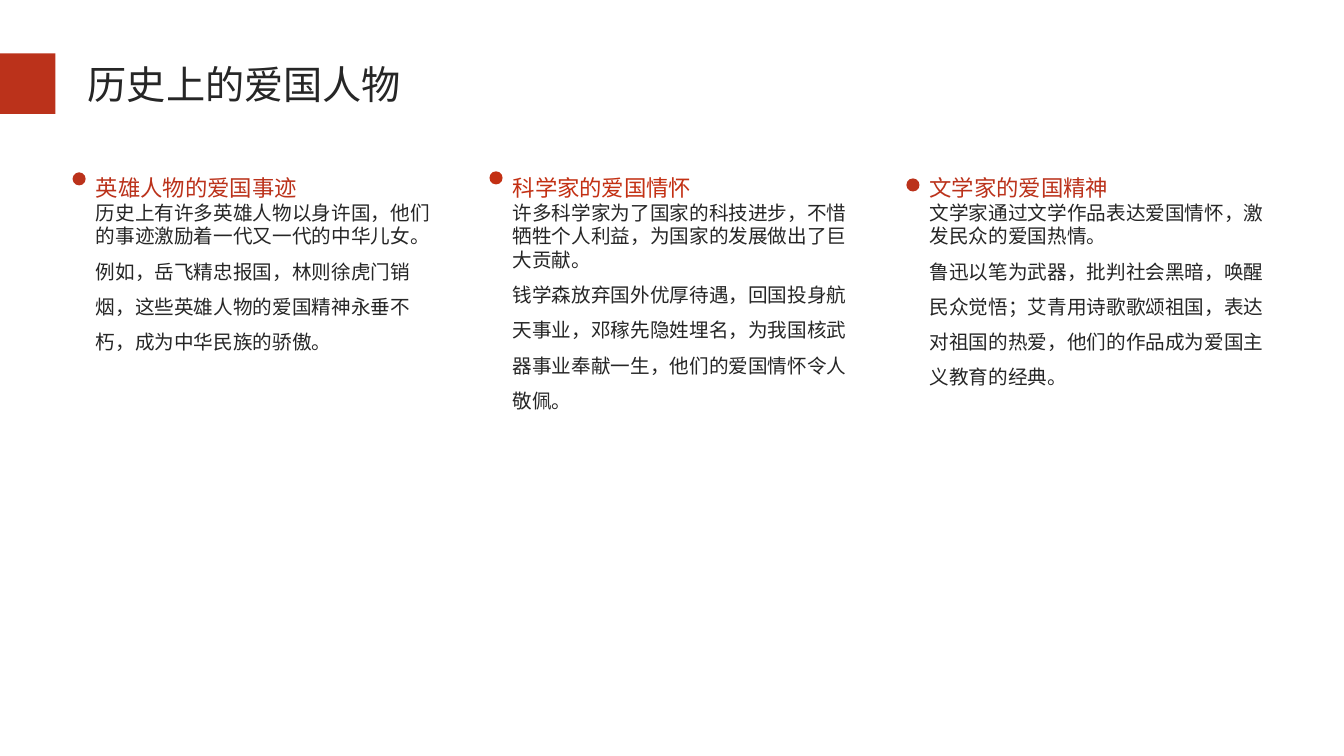
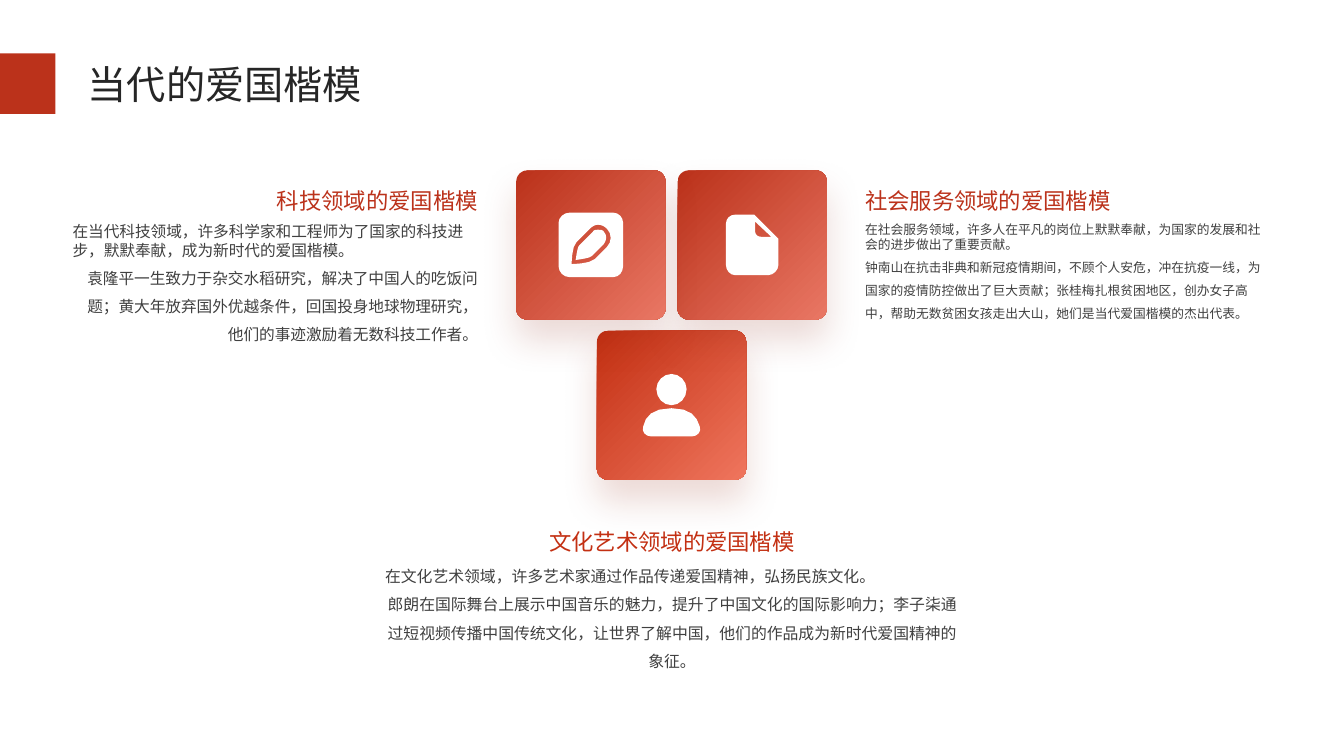
from dataclasses import dataclass

import lxml.etree
import pptx
import pptx.dml.color
import pptx.enum.shapes
import pptx.enum.text
import pptx.oxml.ns
import pptx.util

Inches = pptx.util.Inches
Align = pptx.enum.text.PP_ALIGN
Anchor = pptx.enum.text.MSO_ANCHOR
Preset = pptx.enum.shapes.MSO_SHAPE
qn = pptx.oxml.ns.qn

FONT = "Noto Sans CJK SC"
COLORS = {
    "red": "BB321B",
    "red_end": "E97764",
    "red_shadow": "8C2514",
    "vivid": "C33013",
    "vivid_end": "EF755D",
    "vivid_shadow": "92240E",
    "ink": "262626",
    "gray": "404040",
    "white": "FFFFFF",
}

# Icon outlines in inches from the tile corner: a start point,
# then lines (x, y) and curves (x1, y1, x2, y2, x, y)
PEN_ICON = [
    [(0.81, 0.59), (0.84, 0.59, 0.86, 0.59, 0.87, 0.61),
     (0.9, 0.64, 0.9, 0.69, 0.87, 0.73), (0.75, 0.85),
     (0.73, 0.87, 0.66, 0.88, 0.59, 0.89),
     (0.6, 0.82, 0.61, 0.75, 0.63, 0.74), (0.76, 0.61),
     (0.77, 0.59, 0.79, 0.59, 0.81, 0.59)],
    [(0.81, 0.54), (0.78, 0.54, 0.75, 0.56, 0.73, 0.58), (0.6, 0.71),
     (0.55, 0.75, 0.55, 0.93, 0.55, 0.93),
     (0.55, 0.93, 0.73, 0.93, 0.78, 0.88), (0.9, 0.76),
     (0.95, 0.71, 0.95, 0.63, 0.9, 0.58),
     (0.88, 0.56, 0.85, 0.54, 0.81, 0.54)],
    [(0.53, 0.42), (0.96, 0.42), (1.02, 0.42, 1.06, 0.47, 1.06, 0.52),
     (1.06, 0.95), (1.06, 1.01, 1.02, 1.06, 0.96, 1.06),
     (0.53, 1.06), (0.47, 1.06, 0.42, 1.01, 0.42, 0.95),
     (0.42, 0.52), (0.42, 0.47, 0.47, 0.42, 0.53, 0.42)],
]
PAGE_ICON = [
    [(0.77, 0.51), (0.77, 0.61), (0.77, 0.64, 0.8, 0.66, 0.83, 0.66), (0.93, 0.66)],
    [(0.57, 0.44), (0.76, 0.44), (1, 0.68), (1, 0.94),
     (1, 0.99, 0.95, 1.04, 0.9, 1.04), (0.57, 1.04),
     (0.52, 1.04, 0.48, 0.99, 0.48, 0.94), (0.48, 0.53),
     (0.48, 0.48, 0.52, 0.44, 0.57, 0.44)],
]
PERSON_ICON = [
    [(0.74, 0.77), (0.93, 0.77, 0.99, 0.85, 1.02, 0.95),
     (1.04, 1, 1, 1.05, 0.94, 1.05), (0.54, 1.05),
     (0.48, 1.05, 0.44, 1, 0.46, 0.95),
     (0.48, 0.85, 0.55, 0.77, 0.74, 0.77)],
    [(0.74, 0.43), (0.82, 0.43, 0.89, 0.5, 0.89, 0.58),
     (0.89, 0.67, 0.82, 0.74, 0.74, 0.74),
     (0.66, 0.74, 0.59, 0.67, 0.59, 0.58),
     (0.59, 0.5, 0.66, 0.43, 0.74, 0.43)],
]


@dataclass
class Line:
    """One paragraph of text and its look."""
    text: str
    size: float
    color: str
    spacing: float
    align: Align = Align.LEFT


@dataclass
class Column:
    heading: str
    intro: str
    detail: str
    color: str
    dot_top: float


@dataclass
class Field:
    heading: str
    intro: str
    detail: str
    color: str
    left: float
    width: float
    heading_top: float
    heading_height: float
    body_top: float
    size: float
    align: Align
    wrap: bool = True


@dataclass
class Tile:
    left: float
    top: float
    color: str
    icon: list


COLUMNS = [
    Column("英雄人物的爱国事迹",
           "历史上有许多英雄人物以身许国，他们的事迹激励着一代又一代的中华儿女。",
           "例如，岳飞精忠报国，林则徐虎门销烟，这些英雄人物的爱国精神永垂不朽，成为中华民族的骄傲。",
           "red", 1.71),
    Column("科学家的爱国情怀",
           "许多科学家为了国家的科技进步，不惜牺牲个人利益，为国家的发展做出了巨大贡献。",
           "钱学森放弃国外优厚待遇，回国投身航天事业，邓稼先隐姓埋名，为我国核武器事业奉献一生，他们的爱国情怀令人敬佩。",
           "vivid", 1.7),
    Column("文学家的爱国精神",
           "文学家通过文学作品表达爱国情怀，激发民众的爱国热情。",
           "鲁迅以笔为武器，批判社会黑暗，唤醒民众觉悟；艾青用诗歌歌颂祖国，表达对祖国的热爱，他们的作品成为爱国主义教育的经典。",
           "red", 1.77),
]
FIELDS = [
    Field("科技领域的爱国楷模",
          "在当代科技领域，许多科学家和工程师为了国家的科技进步，默默奉献，成为新时代的爱国楷模。",
          "袁隆平一生致力于杂交水稻研究，解决了中国人的吃饭问题；黄大年放弃国外优越条件，回国投身地球物理研究，他们的事迹激励着无数科技工作者。",
          "red", 0.72, 4.02, 1.24, 0.88, 2.2, 11.2, Align.RIGHT),
    Field("社会服务领域的爱国楷模",
          "在社会服务领域，许多人在平凡的岗位上默默奉献，为国家的发展和社会的进步做出了重要贡献。",
          "钟南山在抗击非典和新冠疫情期间，不顾个人安危，冲在抗疫一线，为国家的疫情防控做出了巨大贡献；张桂梅扎根贫困地区，创办女子高中，帮助无数贫困女孩走出大山，她们是当代爱国楷模的杰出代表。",
          "red", 8.58, 4.02, 1.24, 0.88, 2.2, 9.1, Align.LEFT, wrap=False),
    Field("文化艺术领域的爱国楷模",
          "在文化艺术领域，许多艺术家通过作品传递爱国精神，弘扬民族文化。",
          "郎朗在国际舞台上展示中国音乐的魅力，提升了中国文化的国际影响力；李子柒通过短视频传播中国传统文化，让世界了解中国，他们的作品成为新时代爱国精神的象征。",
          "vivid", 3.82, 5.69, 4.92, 0.59, 5.62, 11.3, Align.CENTER),
]

# Two tiles above, one centred below them
TILE_SIZE, TILE_STEP, TILE_LEFT, TILE_TOP = 1.48, 1.6, 5.12, 1.69
TILES = [
    Tile(TILE_LEFT + TILE_STEP / 2, TILE_TOP + 1.59, "vivid", PERSON_ICON),
    Tile(TILE_LEFT + TILE_STEP, TILE_TOP, "red", PAGE_ICON),
    Tile(TILE_LEFT, TILE_TOP, "red", PEN_ICON),
]


def rgb(name: str) -> pptx.dml.color.RGBColor:
    return pptx.dml.color.RGBColor.from_string(COLORS[name])


def add_text(page, left: float, top: float, width: float, height: float,
             lines: list[Line], anchor=Anchor.TOP, wrap: bool = True) -> None:
    box = page.shapes.add_textbox(Inches(left), Inches(top), Inches(width), Inches(height))
    frame = box.text_frame
    frame.margin_left = frame.margin_top = frame.margin_right = frame.margin_bottom = 0
    frame.vertical_anchor = anchor
    frame.word_wrap = wrap
    for index, line in enumerate(lines):
        para = frame.add_paragraph() if index else frame.paragraphs[0]
        para.text = line.text
        para.alignment = line.align
        para.line_spacing = line.spacing
        para.font.size = pptx.util.Pt(line.size)
        para.font.color.rgb = rgb(line.color)
        para.font.name = FONT
        # Keep punctuation inside the box; use one typeface for both scripts
        para._p.pPr.set("hangingPunct", "0")
        latin = para._p.find(".//" + qn("a:latin"))
        latin.addnext(lxml.etree.Element(qn("a:ea"), typeface=FONT))


def add_body(page, left: float, top: float, width: float, height: float,
             item: Column | Field, size: float, color: str, align=Align.LEFT) -> None:
    """A tight left-aligned introduction above a loosely set detail."""
    add_text(page, left, top, width, height,
             [Line(item.intro, size, color, 1.0), Line(item.detail, size, color, 1.5, align)])


def finish(shape, color: str):
    shape.shadow.inherit = False
    shape.fill.solid()
    shape.fill.fore_color.rgb = rgb(color)
    shape.line.fill.background()
    return shape


def add_shape(page, preset: Preset, left: float, top: float,
              width: float, height: float, color: str):
    return finish(page.shapes.add_shape(
        preset, Inches(left), Inches(top), Inches(width), Inches(height)), color)


def trace(contour: list, left: float, top: float) -> list[tuple[int, int]]:
    """Turn lines and cubic curves into points on the slide."""
    points = [contour[0]]
    for segment in contour[1:]:
        if len(segment) == 2:
            points.append(segment)
            continue
        start, steps = points[-1], 4
        for step in range(1, steps + 1):
            t = step / steps
            weights = ((1 - t) ** 3, 3 * t * (1 - t) ** 2, 3 * t * t * (1 - t), t ** 3)
            knots = start + segment
            points.append(tuple(
                sum(w * k for w, k in zip(weights, knots[axis::2])) for axis in (0, 1)))
    return [(Inches(left + x), Inches(top + y)) for x, y in points]


def add_icon(page, tile: Tile) -> None:
    first, *others = [trace(contour, tile.left, tile.top) for contour in tile.icon]
    builder = page.shapes.build_freeform(*first[0], scale=1.0)
    builder.add_line_segments(first[1:], close=True)
    for points in others:
        builder.move_to(*points[0])
        builder.add_line_segments(points[1:], close=True)
    finish(builder.convert_to_shape(), "white")


def add_tile(page, tile: Tile) -> None:
    shape = add_shape(page, Preset.ROUNDED_RECTANGLE, tile.left, tile.top,
                      TILE_SIZE, TILE_SIZE, tile.color)
    shape.adjustments[0] = 0.075
    shape.fill.gradient()
    shape.fill.gradient_angle = 315
    ends = ((0.01, tile.color), (1.0, tile.color + "_end"))
    for stop, (position, color) in zip(shape.fill.gradient_stops, ends):
        stop.position = position
        stop.color.rgb = rgb(color)
    # Soft shadow below the tile
    effects = shape._element.spPr.find(qn("a:effectLst"))
    shadow = lxml.etree.SubElement(
        effects, qn("a:outerShdw"), blurRad=str(pptx.util.Pt(26)),
        dist=str(pptx.util.Pt(15)), dir="5400000", algn="t", rotWithShape="0")
    tint = lxml.etree.SubElement(shadow, qn("a:srgbClr"), val=COLORS[tile.color + "_shadow"])
    lxml.etree.SubElement(tint, qn("a:alpha"), val="17000")
    add_icon(page, tile)


def add_page(deck, title: str):
    page = deck.slides.add_slide(deck.slide_layouts[6])
    add_text(page, 0.87, 0.55, 11.88, 0.51, [Line(title, 28, "ink", 1.1)], Anchor.MIDDLE)
    add_shape(page, Preset.RECTANGLE, 0, 0.53, 0.55, 0.6, "red")
    return page


def build_history(deck) -> None:
    page = add_page(deck, "历史上的爱国人物")
    for index, column in enumerate(COLUMNS):
        left = 0.95 + index * 4.135
        add_text(page, left, 1.3, 3.42, 0.69,
                 [Line(column.heading, 16, column.color, 1.2)], Anchor.BOTTOM, wrap=False)
        add_body(page, left, 1.99, 3.41, 4.11, column, 14, "ink")
        add_shape(page, Preset.OVAL, left - 0.23, column.dot_top, 0.13, 0.13, column.color)


def build_present(deck) -> None:
    page = add_page(deck, "当代的爱国楷模")
    for tile in TILES:
        add_tile(page, tile)
    for field in FIELDS:
        add_text(page, field.left, field.heading_top, field.width, field.heading_height,
                 [Line(field.heading, 16, field.color, 1.3, field.align)],
                 Anchor.BOTTOM, field.wrap)
        add_body(page, field.left, field.body_top, field.width, 1.18,
                 field, field.size, "gray", field.align)


def main() -> None:
    deck = pptx.Presentation()
    deck.slide_width, deck.slide_height = Inches(13.33), Inches(7.5)
    build_history(deck)
    build_present(deck)
    deck.save("out.pptx")


if __name__ == "__main__":
    main()
